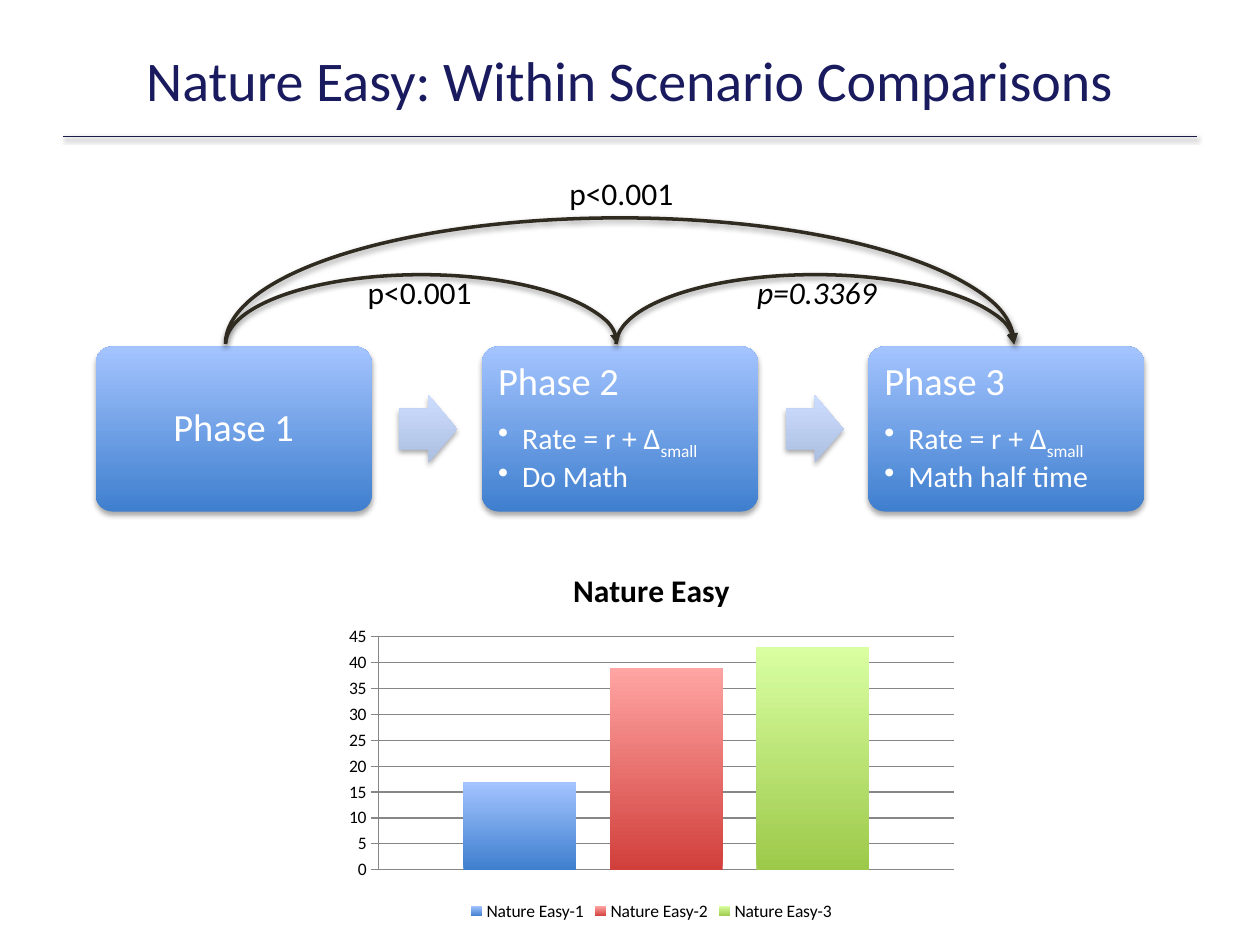
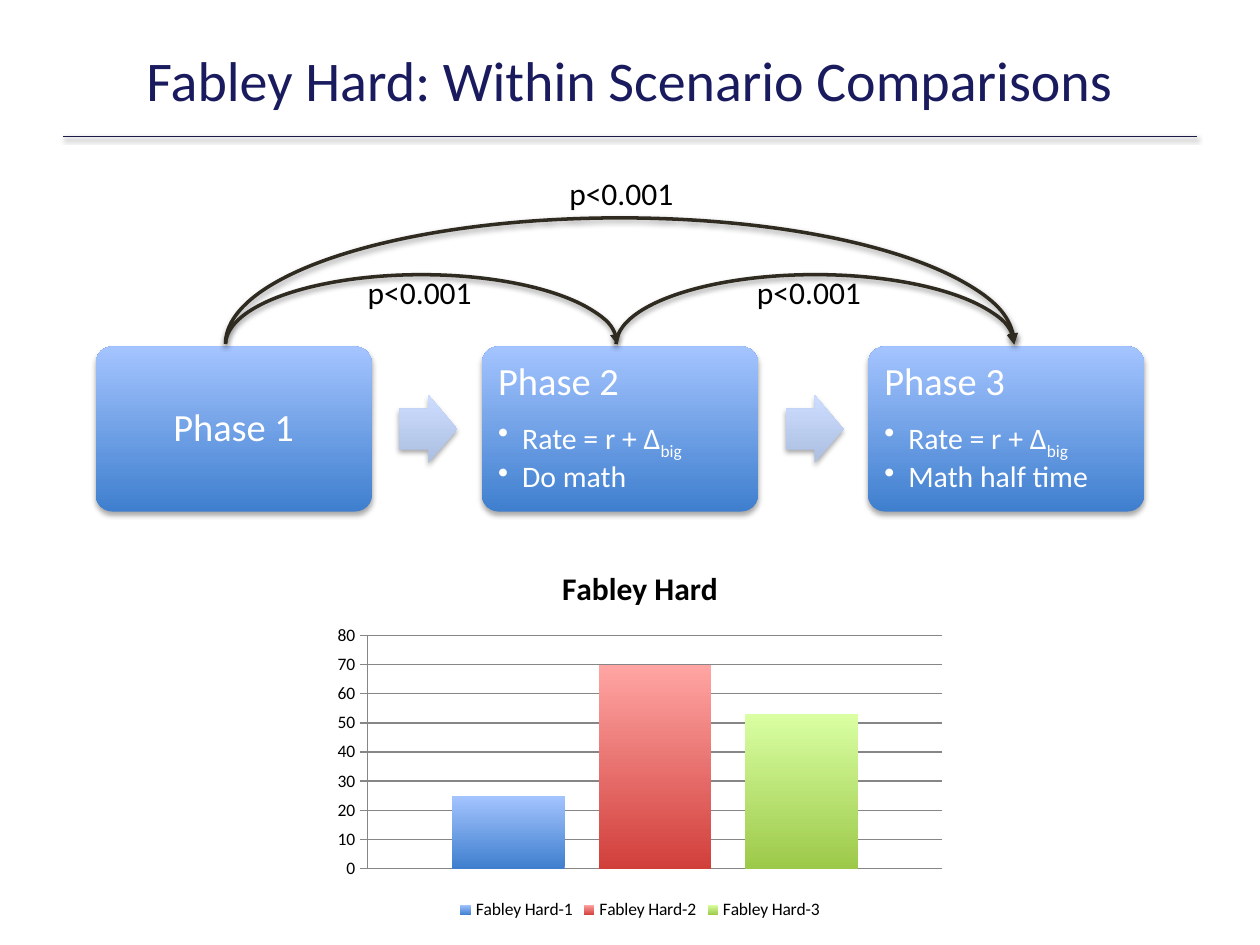
import pptx
import pptx.chart.data
import pptx.dml.color
import pptx.enum.chart
import pptx.enum.shapes
import pptx.enum.text
import pptx.oxml.ns
import pptx.util
from lxml import etree

Inches, Pt = pptx.util.Inches, pptx.util.Pt
SHAPES = pptx.enum.shapes.MSO_SHAPE
ALIGN = pptx.enum.text.PP_ALIGN
ANCHOR = pptx.enum.text.MSO_ANCHOR
qn = pptx.oxml.ns.qn

FONT = "Calibri"
NAVY, RULE, INK, BLACK, WHITE, GRID = "191B5E", "1A1C47", "2F2B20", "000000", "FFFFFF", "868686"
BLUE = ("3F7FCE", "A4C4FF")
PALE_BLUE = ("ADBFE1", "CCDDFF")
RED = ("D13F3B", "FFA5A3")
GREEN = ("9DC94A", "D9FFA2")

SCENARIOS = [
    {
        "name": "Nature Easy",
        "delta": "small",
        "tasks": ["Do Math", "Math half time"],
        "p_values": {"1-3": "p<0.001", "1-2": "p<0.001", "2-3": "p=0.3369"},
        "not_significant": ["2-3"],
        "means": [17, 39, 43],
        "scale": (45, 5),
        "chart_at": (2.67, 4.35),
    },
    {
        "name": "Fabley Hard",
        "delta": "big",
        "tasks": ["Do math", "Math half time"],
        "p_values": {"1-3": "p<0.001", "1-2": "p<0.001", "2-3": "p<0.001"},
        "not_significant": [],
        "means": [25, 70, 53],
        "scale": (80, 10),
        "chart_at": (2.58, 4.34),
    },
]

PHASE_LEFT, PHASE_TOP, PHASE_WIDTH, PHASE_HEIGHT = 0.76, 2.75, 2.19, 1.31
PHASE_STEP = (6.89 - PHASE_LEFT) / 2
ARROW_OFFSET, ARROW_WIDTH, ARROW_HEIGHT = 2.41, 0.46, 0.54
COMPARISONS = {
    "1-3": {"arc": (1.79, 1.73, 6.26, 2), "label": (4.42, 1.33)},
    "2-3": {"arc": (4.89, 2.18, 3.16, 1.11), "label": (5.91, 2.12)},
    "1-2": {"arc": (1.79, 2.18, 3.11, 1.11), "label": (2.82, 2.12)},
}


def color(value):
    return pptx.dml.color.RGBColor.from_string(value)


def inches(*lengths):
    return [Inches(length) for length in lengths]


def set_font(font, size, ink, bold=None, italic=None):
    font.name, font.size, font.bold, font.italic = FONT, Pt(size), bold, italic
    font.color.rgb = color(ink)


def fill_gradient(fill, bottom_and_top):
    fill.gradient()
    fill.gradient_angle = 90
    for stop, shade in zip(fill.gradient_stops, bottom_and_top):
        stop.color.rgb = color(shade)


def add_shadow(part, opacity, distance):
    effects = etree.SubElement(part._element.spPr, qn("a:effectLst"))
    shadow = etree.SubElement(
        effects, qn("a:outerShdw"), blurRad=str(Pt(3.1)), dist=str(Pt(distance)),
        dir="5400000", rotWithShape="0")
    black = etree.SubElement(shadow, qn("a:srgbClr"), val=BLACK)
    etree.SubElement(black, qn("a:alpha"), val=str(opacity * 1000))


def add_text(slide, box, text, size, ink, italic=None):
    frame = slide.shapes.add_textbox(*inches(*box)).text_frame
    paragraph = frame.paragraphs[0]
    paragraph.text = text
    set_font(paragraph.font, size, ink, italic=italic)
    return frame


def add_header(slide, title):
    frame = add_text(slide, (0.5, 0.17, 9, 0.92), title, 32, NAVY)
    frame.word_wrap = True
    frame.vertical_anchor = ANCHOR.MIDDLE
    frame.paragraphs[0].alignment = ALIGN.CENTER
    rule = slide.shapes.add_connector(
        pptx.enum.shapes.MSO_CONNECTOR.STRAIGHT, *inches(0.5, 1.08, 9.5, 1.08))
    rule.line.color.rgb = color(RULE)
    rule.line.width = Pt(0.25)
    add_shadow(rule, 38, 1.6)


def add_block(slide, preset, box, shades, adjustments):
    block = slide.shapes.add_shape(preset, *inches(*box))
    for index, value in enumerate(adjustments):
        block.adjustments[index] = value
    fill_gradient(block.fill, shades)
    block.line.fill.background()
    add_shadow(block, 35, 1.8)
    return block


def style_phase_line(paragraph, size, space_after, alignment=ALIGN.LEFT):
    paragraph.alignment = alignment
    paragraph.line_spacing = 0.9
    paragraph.space_after = Pt(space_after)
    set_font(paragraph.font, size, WHITE)


def add_bullet(frame, text, subscript=None):
    paragraph = frame.add_paragraph()
    paragraph.add_run().text = text
    if subscript:
        run = paragraph.add_run()
        run.text = subscript
        run._r.get_or_add_rPr().set("baseline", "-25000")
    properties = paragraph._p.get_or_add_pPr()
    properties.set("marL", str(Inches(0.19)))
    properties.set("indent", str(Inches(-0.19)))
    etree.SubElement(properties, qn("a:buChar"), char="•")
    style_phase_line(paragraph, 17, 3)


def add_phases(slide, scenario):
    for index, task in enumerate([None] + scenario["tasks"]):
        left = PHASE_LEFT + index * PHASE_STEP
        phase = add_block(slide, SHAPES.ROUNDED_RECTANGLE,
                          (left, PHASE_TOP, PHASE_WIDTH, PHASE_HEIGHT), BLUE, [0.1])
        frame = phase.text_frame
        frame.word_wrap = True
        frame.margin_left = frame.margin_right = Inches(0.09)
        frame.margin_top = frame.margin_bottom = Inches(0.09)
        heading = frame.paragraphs[0]
        heading.text = f"Phase {index + 1}"
        style_phase_line(heading, 22, 9.2, ALIGN.LEFT if task else ALIGN.CENTER)
        frame.vertical_anchor = ANCHOR.TOP if task else ANCHOR.MIDDLE
        if task:
            add_bullet(frame, "Rate = r + Δ", scenario["delta"])
            add_bullet(frame, task)
            arrow_top = PHASE_TOP + (PHASE_HEIGHT - ARROW_HEIGHT) / 2
            add_block(slide, SHAPES.RIGHT_ARROW,
                      (left - PHASE_STEP + ARROW_OFFSET, arrow_top, ARROW_WIDTH, ARROW_HEIGHT),
                      PALE_BLUE, [0.6, 0.5])


def add_comparisons(slide, scenario):
    for pair, place in COMPARISONS.items():
        arc = slide.shapes.add_shape(SHAPES.ARC, *inches(*place["arc"]))
        arc.adjustments[0], arc.adjustments[1] = 108.1, 0
        arc.fill.background()
        arc.line.color.rgb = color(INK)
        arc.line.width = Pt(2)
        etree.SubElement(arc.line._get_or_add_ln(), qn("a:tailEnd"), type="triangle")
        add_shadow(arc, 38, 1.6)
    for pair, place in COMPARISONS.items():
        p_value = scenario["p_values"][pair]
        width = 1.22 if len(p_value) > 7 else 1.04
        italic = True if pair in scenario["not_significant"] else None
        frame = add_text(slide, (*place["label"], width, 0.4), p_value, 18, BLACK, italic)
        frame.word_wrap = False


def add_means_chart(slide, scenario):
    means = pptx.chart.data.CategoryChartData()
    means.categories = ["1"]
    for number, mean in enumerate(scenario["means"], 1):
        means.add_series(f"{scenario['name']}-{number}", [mean])
    chart = slide.shapes.add_chart(
        pptx.enum.chart.XL_CHART_TYPE.COLUMN_CLUSTERED,
        *inches(*scenario["chart_at"], 5, 3), means).chart
    set_font(chart.font, 10, BLACK)
    chart.has_title = True
    heading = chart.chart_title.text_frame.paragraphs[0]
    heading.text = scenario["name"]
    set_font(heading.font, 18, BLACK, bold=True)
    chart.chart_title.include_in_layout = False
    chart.has_legend = True
    chart.legend.position = pptx.enum.chart.XL_LEGEND_POSITION.BOTTOM
    chart.legend.include_in_layout = False

    columns = chart.plots[0]
    columns.gap_width, columns.overlap = 150, -30
    columns.vary_by_categories = False
    for series, shades in zip(columns.series, (BLUE, RED, GREEN)):
        fill_gradient(series.format.fill, shades)

    chart.category_axis.visible = False
    scale = chart.value_axis
    scale.minimum_scale = 0
    scale.maximum_scale, scale.major_unit = scenario["scale"]
    scale.major_tick_mark = pptx.enum.chart.XL_TICK_MARK.OUTSIDE
    scale.has_major_gridlines = True
    for line in (scale.format.line, scale.major_gridlines.format.line):
        line.color.rgb = color(GRID)
        line.width = Pt(0.75)


def main():
    deck = pptx.Presentation()
    deck.slide_width, deck.slide_height = inches(10, 7.5)
    for scenario in SCENARIOS:
        slide = deck.slides.add_slide(deck.slide_layouts[6])
        add_header(slide, f"{scenario['name']}: Within Scenario Comparisons")
        add_phases(slide, scenario)
        add_comparisons(slide, scenario)
        add_means_chart(slide, scenario)
    deck.save("out.pptx")


if __name__ == "__main__":
    main()
